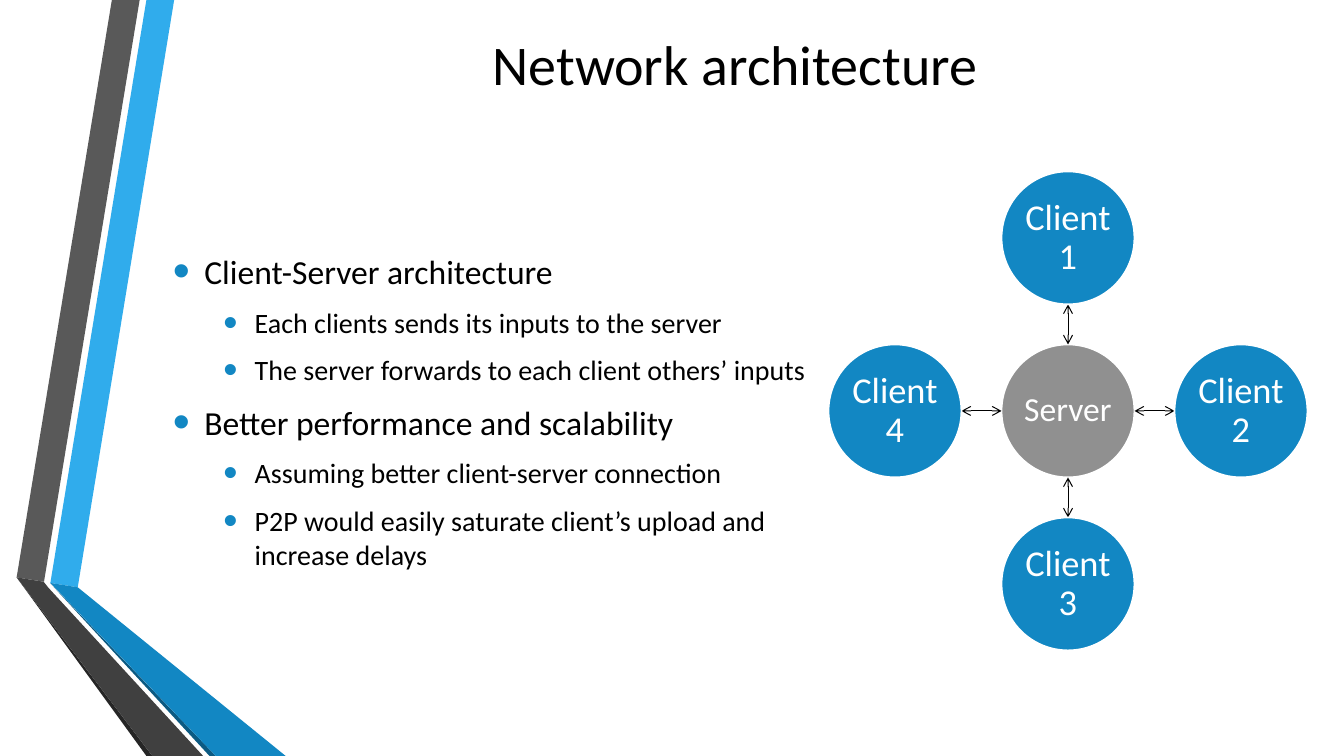
import lxml.etree
import pptx
import pptx.dml.color
import pptx.enum.shapes
import pptx.enum.text
import pptx.oxml.ns
import pptx.util

Cm = pptx.util.Cm
Pt = pptx.util.Pt
RGBColor = pptx.dml.color.RGBColor
PP_ALIGN = pptx.enum.text.PP_ALIGN
MSO_ANCHOR = pptx.enum.text.MSO_ANCHOR
qn = pptx.oxml.ns.qn

BLACK = RGBColor(0x00, 0x00, 0x00)
WHITE = RGBColor(0xFF, 0xFF, 0xFF)
BLUE = RGBColor(0x12, 0x87, 0xC3)
LIGHT_BLUE = RGBColor(0x30, 0xAC, 0xEC)
DARK_BLUE = RGBColor(0x0C, 0x5A, 0x82)
SERVER_GREY = RGBColor(0x90, 0x90, 0x90)
GREY = RGBColor(0x59, 0x59, 0x59)
DARK_GREY = RGBColor(0x40, 0x40, 0x40)
SHADE_GREY = RGBColor(0x26, 0x26, 0x26)
FONT = "Calibri"

RIBBONS = [
    (LIGHT_BLUE, [(1.27, 14.69), (1.96, 14.8), (4.39, 0), (3.69, 0)]),
    (GREY, [(3.52, 0), (2.82, 0), (0.42, 14.55), (1.11, 14.66)]),
    (SHADE_GREY, [(0.42, 14.55), (3.69, 19.05), (3.84, 19.05)]),
    (DARK_BLUE, [(1.27, 14.7), (5.28, 19.05), (5.44, 19.05)]),
    (BLUE, [(1.27, 14.69), (5.44, 19.05), (7.2, 19.05), (1.96, 14.8)]),
    (DARK_GREY, [(5.12, 19.05), (1.22, 14.81), (1.1, 14.66), (0.42, 14.55), (3.84, 19.05)]),
]
POINTS = [
    ("Client-Server architecture", 0),
    ("Each clients sends its inputs to the server", 1),
    ("The server forwards to each client others’ inputs", 1),
    ("Better performance and scalability", 0),
    ("Assuming better client-server connection", 1),
    ("P2P would easily saturate client’s upload and increase delays", 1),
]
DIRECTIONS = [(0, -1), (1, 0), (0, 1), (-1, 0)]


def write_text(para, text, size, color=BLACK, align=PP_ALIGN.LEFT, spacing=1.0):
    """Write one formatted span into a paragraph."""
    para.alignment = align
    para.line_spacing = spacing
    span = para.add_run()
    span.text = text
    span.font.name = FONT
    span.font.size = Pt(size)
    span.font.color.rgb = color


def add_text_frame(page, left, top, width, height):
    """Add a wrapping, vertically centred text box and return its frame."""
    box = page.shapes.add_textbox(Cm(left), Cm(top), Cm(width), Cm(height))
    frame = box.text_frame
    frame.word_wrap = True
    frame.vertical_anchor = MSO_ANCHOR.MIDDLE
    return frame


def set_bullet(para, level):
    """Give a paragraph its hanging indent and blue bullet."""
    properties = para._p.get_or_add_pPr()
    properties.set("marL", str(Cm(0.79 + 1.27 * level)))
    properties.set("indent", str(Cm(-0.79)))
    color = lxml.etree.SubElement(properties, qn("a:buClr"))
    lxml.etree.SubElement(color, qn("a:srgbClr"), val=str(BLUE))
    lxml.etree.SubElement(properties, qn("a:buSzPct"), val="145000")
    lxml.etree.SubElement(properties, qn("a:buFont"), typeface="Arial")
    lxml.etree.SubElement(properties, qn("a:buChar"), char="•")


def draw_ribbons(page, left, top):
    """Draw the folded ribbons from the given corner."""
    for color, corners in RIBBONS:
        points = [(Cm(left + x), Cm(top + y)) for x, y in corners]
        builder = page.shapes.build_freeform(*points[0])
        builder.add_line_segments(points[1:], close=True)
        ribbon = builder.convert_to_shape()
        ribbon.shadow.inherit = False
        ribbon.fill.solid()
        ribbon.fill.fore_color.rgb = color
        ribbon.line.fill.background()


def draw_title(page, left, top, width, height):
    """Place the centred slide title."""
    frame = add_text_frame(page, left, top, width, height)
    write_text(frame.paragraphs[0], "Network architecture", 40, align=PP_ALIGN.CENTER)


def draw_points(page, left, top, width, height):
    """Place the two-level bullet list."""
    frame = add_text_frame(page, left, top, width, height)
    for index, (text, level) in enumerate(POINTS):
        para = frame.add_paragraph() if index else frame.paragraphs[0]
        size = 20 if level else 24
        para.level = level
        para.space_before = Pt(size * 0.2)
        para.space_after = Pt(6)
        write_text(para, text, size)
        set_bullet(para, level)


def draw_node(page, x, y, diameter, text, size, color):
    """Draw a labelled circle around a centre."""
    node = page.shapes.add_shape(
        pptx.enum.shapes.MSO_SHAPE.OVAL,
        Cm(x - diameter / 2), Cm(y - diameter / 2), Cm(diameter), Cm(diameter))
    node.shadow.inherit = False
    node.fill.solid()
    node.fill.fore_color.rgb = color
    node.line.color.rgb = WHITE
    node.line.width = Pt(1.25)
    frame = node.text_frame
    frame.word_wrap = True
    frame.vertical_anchor = MSO_ANCHOR.MIDDLE
    frame.margin_left = frame.margin_right = Cm(0.04)
    frame.margin_top = frame.margin_bottom = Cm(0.04)
    write_text(frame.paragraphs[0], text, size, WHITE, PP_ALIGN.CENTER, 0.9)


def draw_link(page, start, end):
    """Draw a thin line with an open arrowhead at both ends."""
    link = page.shapes.add_connector(
        pptx.enum.shapes.MSO_CONNECTOR.STRAIGHT,
        Cm(start[0]), Cm(start[1]), Cm(end[0]), Cm(end[1]))
    link.line.color.rgb = BLACK
    link.line.width = Pt(0.75)
    for tag in ("a:headEnd", "a:tailEnd"):
        lxml.etree.SubElement(link.line._get_or_add_ln(), qn(tag), type="arrow")
    lxml.etree.SubElement(link._element.spPr, qn("a:effectLst"))


def draw_network(page, left, top, side):
    """Draw the server and its four clients inside a square."""
    diameter = 3.35
    radius = diameter / 2
    reach = side / 2 - radius
    x, y = left + side / 2, top + side / 2
    draw_node(page, x, y, diameter, "Server", 24, SERVER_GREY)
    for number, (dx, dy) in enumerate(DIRECTIONS, start=1):
        near, far = radius, reach - radius
        draw_link(page, (x + dx * near, y + dy * near), (x + dx * far, y + dy * far))
        draw_node(page, x + dx * reach, y + dy * reach, diameter,
                  f"Client {number}", 26, BLUE)


def main():
    """Build and save the slide."""
    deck = pptx.Presentation()
    deck.slide_width, deck.slide_height = Cm(33.87), Cm(19.05)
    page = deck.slides.add_slide(deck.slide_layouts[6])
    draw_ribbons(page, 0, 0)
    draw_title(page, 4.11, 0, 28.83, 3.18)
    draw_network(page, 20.88, 4.32, 12.07)
    draw_points(page, 4.11, 3.18, 16.76, 14.35)
    deck.save("out.pptx")


if __name__ == "__main__":
    main()
